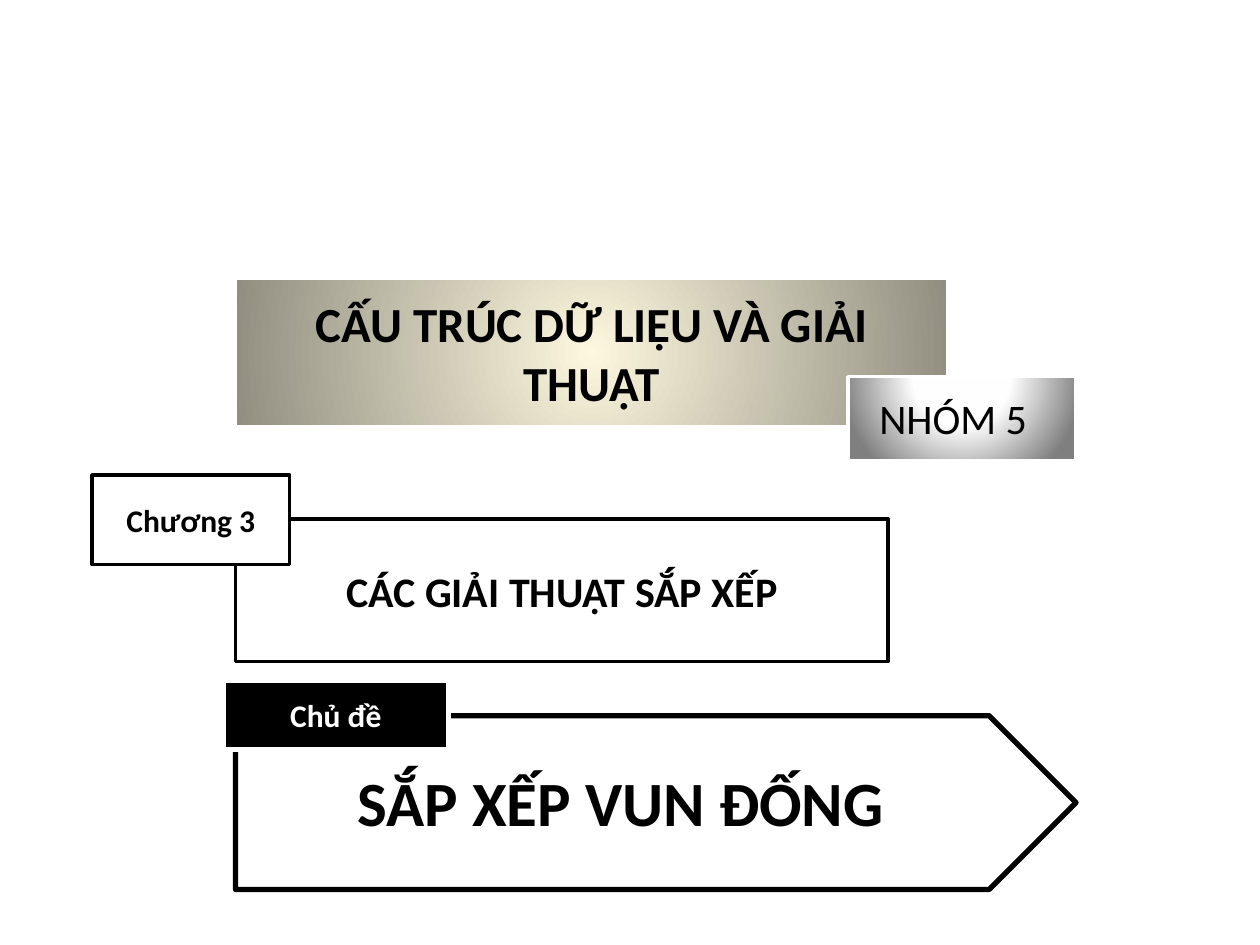
from lxml.etree import SubElement
from pptx import Presentation
from pptx.dml.color import RGBColor
from pptx.enum.shapes import MSO_SHAPE
from pptx.enum.text import MSO_ANCHOR, MSO_AUTO_SIZE, PP_ALIGN
from pptx.oxml.ns import qn
from pptx.util import Inches, Pt

FONT = "Calibri"
COLORS = {
    "black": "000000",
    "white": "FFFFFF",
    "cream": "FCF7DD",
    "taupe": "918E81",
    "near_white": "FEFEFE",
    "gray": "7F7F7F",
}


def rgb(name):
    return RGBColor.from_string(COLORS[name])


def outline(shape, color, width):
    shape.line.color.rgb = rgb(color)
    shape.line.width = Pt(width)


def fill_radial(shape, stops, focus):
    """Fill with a circular gradient; stops are (percent, color), focus is l, t, r, b in percent."""
    shape.fill.gradient()
    gradient = shape._element.spPr.find(qn("a:gradFill"))
    for child in list(gradient):
        gradient.remove(child)
    stop_list = SubElement(gradient, qn("a:gsLst"))
    for percent, color in stops:
        stop = SubElement(stop_list, qn("a:gs"), pos=str(percent * 1000))
        SubElement(stop, qn("a:srgbClr"), val=COLORS[color])
    circle = SubElement(gradient, qn("a:path"), path="circle")
    edges = {side: str(value * 1000) for side, value in zip("ltrb", focus)}
    SubElement(circle, qn("a:fillToRect"), edges)


def write(shape, text, size, color="black", bold=True, align=PP_ALIGN.CENTER):
    frame = shape.text_frame
    frame.text = text
    frame.word_wrap = True
    paragraph = frame.paragraphs[0]
    paragraph.alignment = align
    font = paragraph.font
    font.name = FONT
    font.size = Pt(size)
    font.bold = bold
    font.color.rgb = rgb(color)


def add_panel(slide, box, line, width, fill=None, kind=MSO_SHAPE.RECTANGLE):
    panel = slide.shapes.add_shape(kind, *map(Inches, box))
    panel.shadow.inherit = False
    if fill:
        panel.fill.solid()
        panel.fill.fore_color.rgb = rgb(fill)
    outline(panel, line, width)
    panel.text_frame.vertical_anchor = MSO_ANCHOR.MIDDLE
    return panel


def add_text(slide, box, text, size, **style):
    label = slide.shapes.add_textbox(*map(Inches, box))
    write(label, text, size, **style)
    label.text_frame.auto_size = MSO_AUTO_SIZE.SHAPE_TO_FIT_TEXT


def set_course_title(slide):
    title = slide.shapes.title
    title.left, title.top = Inches(1.87), Inches(2.21)
    title.width, title.height = Inches(5.65), Inches(1.18)
    fill_radial(title, [(0, "cream"), (100, "taupe")], (50, 50, 50, 50))
    outline(title, "white", 2)
    write(title, "CẤU TRÚC DỮ LIỆU VÀ GIẢI THUẬT", 28)
    frame = title.text_frame
    frame.auto_size = MSO_AUTO_SIZE.NONE
    frame.vertical_anchor = MSO_ANCHOR.MIDDLE
    frame.margin_left = frame.margin_right = Inches(0.4)


def main():
    deck = Presentation()
    deck.slide_width, deck.slide_height = Inches(10), Inches(7.5)
    slide = deck.slides.add_slide(deck.slide_layouts[5])

    set_course_title(slide)

    group_badge = add_panel(slide, (6.73, 2.99, 1.81, 0.67), "white", 2)
    fill_radial(group_badge, [(0, "white"), (40, "near_white"), (100, "gray")],
                (50, -80, 50, 180))

    chapter = add_panel(slide, (1.87, 4.12, 5.18, 1.13), "black", 2, "white")
    write(chapter, "CÁC GIẢI THUẬT SẮP XẾP", 24)
    add_panel(slide, (1.87, 5.68, 6.67, 1.38), "black", 3, "white", MSO_SHAPE.PENTAGON)

    chapter_tag = add_panel(slide, (0.73, 3.77, 1.57, 0.71), "black", 2, "white")
    write(chapter_tag, "Chương 3", 18)
    topic_tag = add_panel(slide, (1.77, 5.4, 1.79, 0.55), "white", 3, "black")
    write(topic_tag, "Chủ đề", 18, color="white")

    add_text(slide, (2.32, 6.01, 5.21, 0.71), "SẮP XẾP VUN ĐỐNG", 36)
    add_text(slide, (6.88, 3.07, 1.51, 0.5), "NHÓM 5", 24, bold=False, align=PP_ALIGN.LEFT)

    deck.save("out.pptx")


if __name__ == "__main__":
    main()
